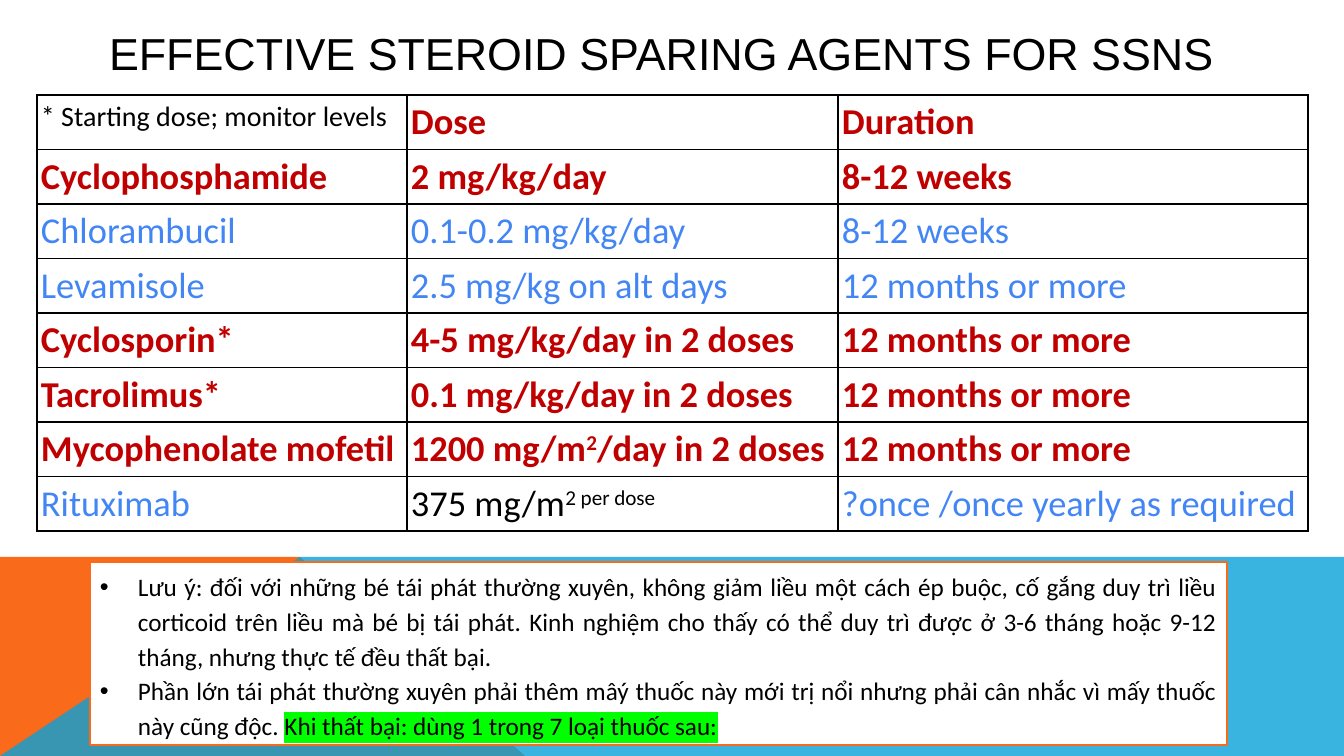
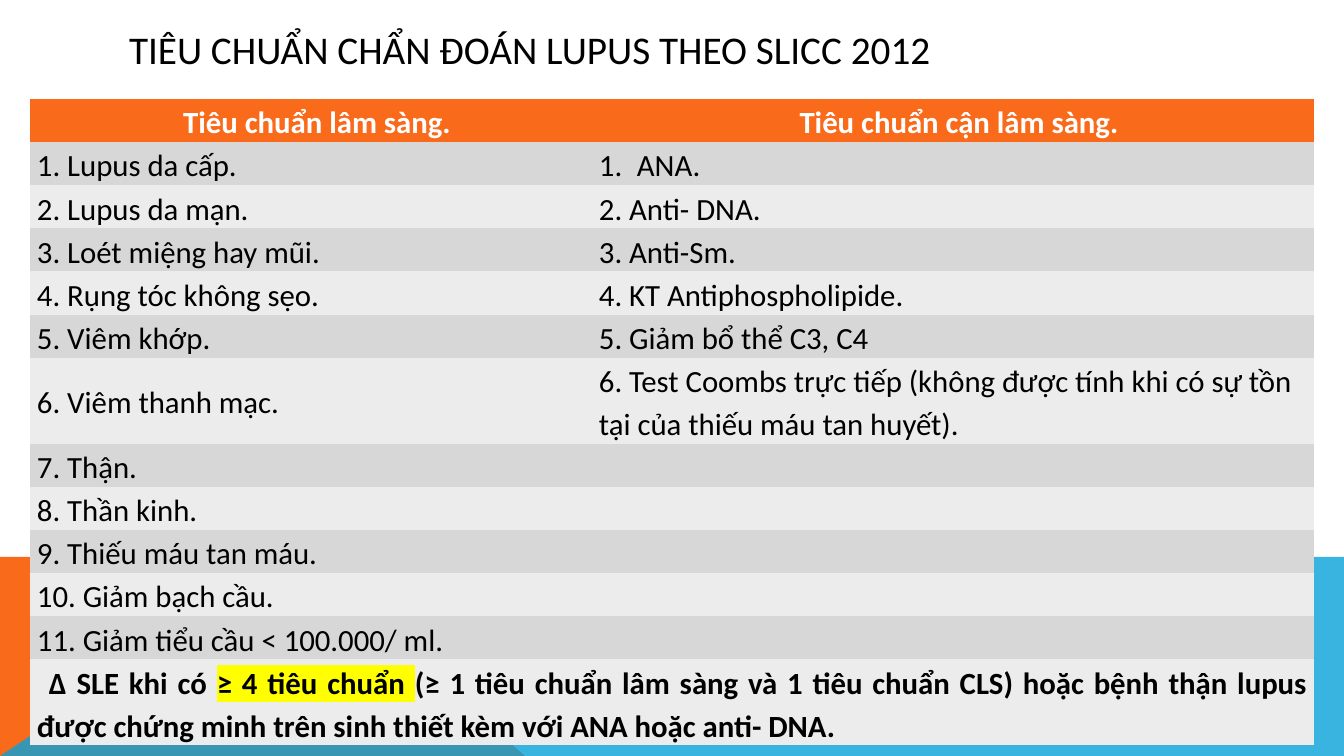
from lxml.etree import SubElement
from pptx import Presentation
from pptx.dml.color import RGBColor
from pptx.enum.shapes import MSO_SHAPE as Shape
from pptx.enum.text import MSO_ANCHOR as Anchor, MSO_AUTO_SIZE as Fit, PP_ALIGN as Align
from pptx.oxml.ns import qn
from pptx.util import Pt

WIDE, HIGH = 1344, 756
SCALE = 12192000 / WIDE
HUES = {
    "ink": "000000", "white": "FFFFFF", "orange": "F96A1B", "sky": "08A1D9",
    "red": "C00000", "blue": "4285F4", "dark": "D7D7D8", "light": "ECECEC",
    "green": "00FF00", "yellow": "FFFF00",
}
PLAIN = "{2D5ABB26-0587-4C30-8999-92F81FD0307C}"
SUP = {"sup": True}

DRUGS = [
    ("red", "Cyclophosphamide", "2 mg/kg/day", "8-12 weeks"),
    ("blue", "Chlorambucil", "0.1-0.2 mg/kg/day", "8-12 weeks"),
    ("blue", "Levamisole", "2.5 mg/kg on alt days", "12 months or more"),
    ("red", "Cyclosporin*", "4-5 mg/kg/day in 2 doses", "12 months or more"),
    ("red", "Tacrolimus*", "0.1 mg/kg/day in 2 doses", "12 months or more"),
    ("red", "Mycophenolate mofetil",
     ["1200 mg/m", ("2", SUP), "/day in 2 doses"], "12 months or more"),
    ("blue", "Rituximab",
     [("375 mg/m", {"hue": "ink"}), ("2 per dose", {"hue": "ink", **SUP})],
     "?once /once yearly as required"),
]
NOTES = [
    "Lưu ý: đối với những bé tái phát thường xuyên, không giảm liều một cách ép buộc, "
    "cố gắng duy trì liều corticoid trên liều mà bé bị tái phát. Kinh nghiệm cho thấy có thể "
    "duy trì được ở 3-6 tháng hoặc 9-12 tháng, nhưng thực tế đều thất bại.",
    ["Phần lớn tái phát thường xuyên phải thêm mâý thuốc này mới trị nổi nhưng phải cân nhắc "
     "vì mấy thuốc này cũng độc. ",
     ("Khi thất bại: dùng 1 trong 7 loại thuốc sau:", {"mark": "green"})],
]
HEADS = ["Tiêu chuẩn lâm sàng.", "Tiêu chuẩn cận lâm sàng."]
SIGNS = [
    "1. Lupus da cấp.", "2. Lupus da mạn.", "3. Loét miệng hay mũi.",
    "4. Rụng tóc không sẹo.", "5. Viêm khớp.", "6. Viêm thanh mạc.", "7. Thận.",
    "8. Thần kinh.", "9. Thiếu máu tan máu.", "10. Giảm bạch cầu.",
    "11. Giảm tiểu cầu < 100.000/ ml.",
]
TESTS = [
    "ANA.", "2. Anti- DNA.", "3. Anti-Sm.", "4. KT Antiphospholipide.",
    "5. Giảm bổ thể C3, C4",
    "6. Test Coombs trực tiếp (không được tính khi có sự tồn tại của thiếu máu tan huyết).",
]
RULE = [
    "Δ SLE khi có ", ("≥ 4 tiêu chuẩn ", {"mark": "yellow"}),
    "(≥ 1 tiêu chuẩn lâm sàng và 1 tiêu chuẩn CLS) hoặc bệnh thận lupus được chứng minh "
    "trên sinh thiết kèm với ANA hoặc anti- DNA.",
]


def px(size):
    return round(size * SCALE)


def tint(name):
    return RGBColor.from_string(HUES[name])


def paint(fill, hue):
    fill.solid()
    fill.fore_color.rgb = tint(hue)


def add_hue(parent, tag, hue):
    return SubElement(SubElement(parent, qn(tag)), qn("a:srgbClr"), val=HUES[hue])


def add_run(par, text, size, hue="ink", bold=False, font="Calibri", mark=None, sup=False):
    run = par.add_run()
    run.text = text
    run.font.size, run.font.bold = Pt(size), bold
    run.font.color.rgb = tint(hue)
    props = run._r.get_or_add_rPr()
    if mark:
        add_hue(props, "a:highlight", mark)
    if sup:
        props.set("baseline", "30000")
    run.font.name = font


def write(frame, paras, align=Align.LEFT, gap=1.0, left=0, first=0, dot=None, **style):
    """Each paragraph is a string or a list of strings and (string, style) pairs."""
    frame.word_wrap = True
    for i, parts in enumerate(paras):
        par = frame.add_paragraph() if i else frame.paragraphs[0]
        par.alignment, par.line_spacing = align, gap
        props = par._p.get_or_add_pPr()
        props.set("marL", str(px(left)))
        props.set("indent", str(px(first)))
        if dot == "1.":
            SubElement(props, qn("a:buAutoNum"), type="arabicPeriod")
        elif dot:
            SubElement(props, qn("a:buFont"), typeface="Arial")
            SubElement(props, qn("a:buChar"), char=dot)
        for part in [parts] if isinstance(parts, str) else parts:
            text, extra = (part, {}) if isinstance(part, str) else part
            add_run(par, text, **{**style, **extra})


def add_bands(slide, layout):
    """Draw the bottom bands and place them on the layout, behind its parts."""
    top = 557
    bands = [
        ("orange", [(0, HIGH), (0, top), (300, top), (525, HIGH)]),
        ("sky", [(0, HIGH), (300, top), (WIDE, top), (WIDE, HIGH)]),
    ]
    for i, (hue, points) in enumerate(bands):
        pen = slide.shapes.build_freeform(*points[0], scale=SCALE)
        pen.add_line_segments(points[1:], close=True)
        band = pen.convert_to_shape()
        band.shadow.inherit = False
        band.line.fill.background()
        paint(band.fill, hue)
        if hue == "sky":
            shade = band.element.spPr.find(qn("a:solidFill"))[0]
            SubElement(shade, qn("a:alpha"), val="80000")
        band.element.nvSpPr.cNvPr.set("id", str(101 + i))
        layout.shapes.element.insert(2 + i, band.element)


def set_title(slide, text, box, pad=10, **style):
    title = slide.shapes.title
    title.left, title.top, title.width, title.height = map(px, box)
    frame = title.text_frame
    frame.auto_size, frame.vertical_anchor = Fit.NONE, Anchor.MIDDLE
    frame.margin_left = frame.margin_right = px(pad)
    write(frame, [text], **style)


def add_grid(slide, spot, cols, rows, pads, anchor):
    """Add a plain table whose cells share margins and anchor."""
    frame = slide.shapes.add_table(len(rows), len(cols), *map(px, (*spot, sum(cols), sum(rows))))
    grid = frame.table
    grid.first_row = grid.horz_banding = False
    grid._tbl.tblPr.find(qn("a:tableStyleId")).text = PLAIN
    for col, wide in zip(grid.columns, cols):
        col.width = px(wide)
    for row, high in zip(grid.rows, rows):
        row.height = px(high)
    for cell in grid.iter_cells():
        cell.margin_left = cell.margin_right = px(pads[0])
        cell.margin_top = cell.margin_bottom = px(pads[1])
        cell.vertical_anchor = anchor
    return grid


def rule_cell(cell):
    props = cell._tc.get_or_add_tcPr()
    for side in "LRTB":
        line = SubElement(props, qn(f"a:ln{side}"), w=str(Pt(1)))
        add_hue(line, "a:solidFill", "ink")


def add_drugs(slide, spot):
    grid = add_grid(slide, spot, [370, 431, 470], [54] * 8, (4, 5), Anchor.TOP)
    for cell in grid.iter_cells():
        rule_cell(cell)
        cell.fill.background()
    write(grid.cell(0, 0).text_frame, ["* Starting dose; monitor levels"], size=20)
    for c, head in enumerate(["Dose", "Duration"], 1):
        write(grid.cell(0, c).text_frame, [head], size=26, hue="red", bold=True)
    for r, (hue, *texts) in enumerate(DRUGS, 1):
        for c, text in enumerate(texts):
            write(grid.cell(r, c).text_frame, [text], size=26, hue=hue, bold=hue == "red")


def add_notes(slide, box):
    note = slide.shapes.add_shape(Shape.RECTANGLE, *map(px, box))
    note.shadow.inherit = False
    paint(note.fill, "white")
    note.line.color.rgb, note.line.width = tint("orange"), Pt(2)
    note.text_frame.vertical_anchor = Anchor.TOP
    write(note.text_frame, NOTES, Align.JUSTIFY, 1.15, 38, -38, "•", size=18)


def add_signs(slide, spot):
    rows = [43] * 13
    rows[6] = rows[12] = 86
    grid = add_grid(slide, spot, [562, 722], rows, (7, 0), Anchor.MIDDLE)
    for r in range(len(rows)):
        for c in range(2):
            paint(grid.cell(r, c).fill, "light" if r % 2 == 0 and r else "dark" if r else "orange")
    base = {"gap": 1.15, "size": 22}
    for c, head in enumerate(HEADS):
        write(grid.cell(0, c).text_frame, [head], Align.CENTER, first=12,
              hue="white", bold=True, **base)
    for c, texts in enumerate([SIGNS, TESTS]):
        for r, text in enumerate(texts, 1):
            count = {"left": 38, "first": -38, "dot": "1."} if text == "ANA." else {}
            write(grid.cell(r, c).text_frame, [text], **count, **base)
    last = grid.cell(12, 0)
    last.merge(grid.cell(12, 1))
    last.vertical_anchor = Anchor.TOP
    write(last.text_frame, [RULE], Align.JUSTIFY, first=12, bold=True, **base)


def main():
    deck = Presentation()
    deck.slide_width, deck.slide_height = px(WIDE), px(HIGH)
    layout = deck.slide_layouts.get_by_name("Title Only")

    agents = deck.slides.add_slide(layout)
    add_bands(agents, layout)
    set_title(agents, "EFFECTIVE STEROID SPARING AGENTS FOR SSNS",
              (104, 23, 1136, 60), pad=5, size=32, font="Arial")
    add_drugs(agents, (37, 95))
    add_notes(agents, (90, 562, 1137, 183))

    lupus = deck.slides.add_slide(layout)
    set_title(lupus, "TIÊU CHUẨN CHẨN ĐOÁN LUPUS THEO SLICC 2012",
              (119, 19, 1106, 60), size=28)
    add_signs(lupus, (30, 99))
    deck.save("out.pptx")


if __name__ == "__main__":
    main()
